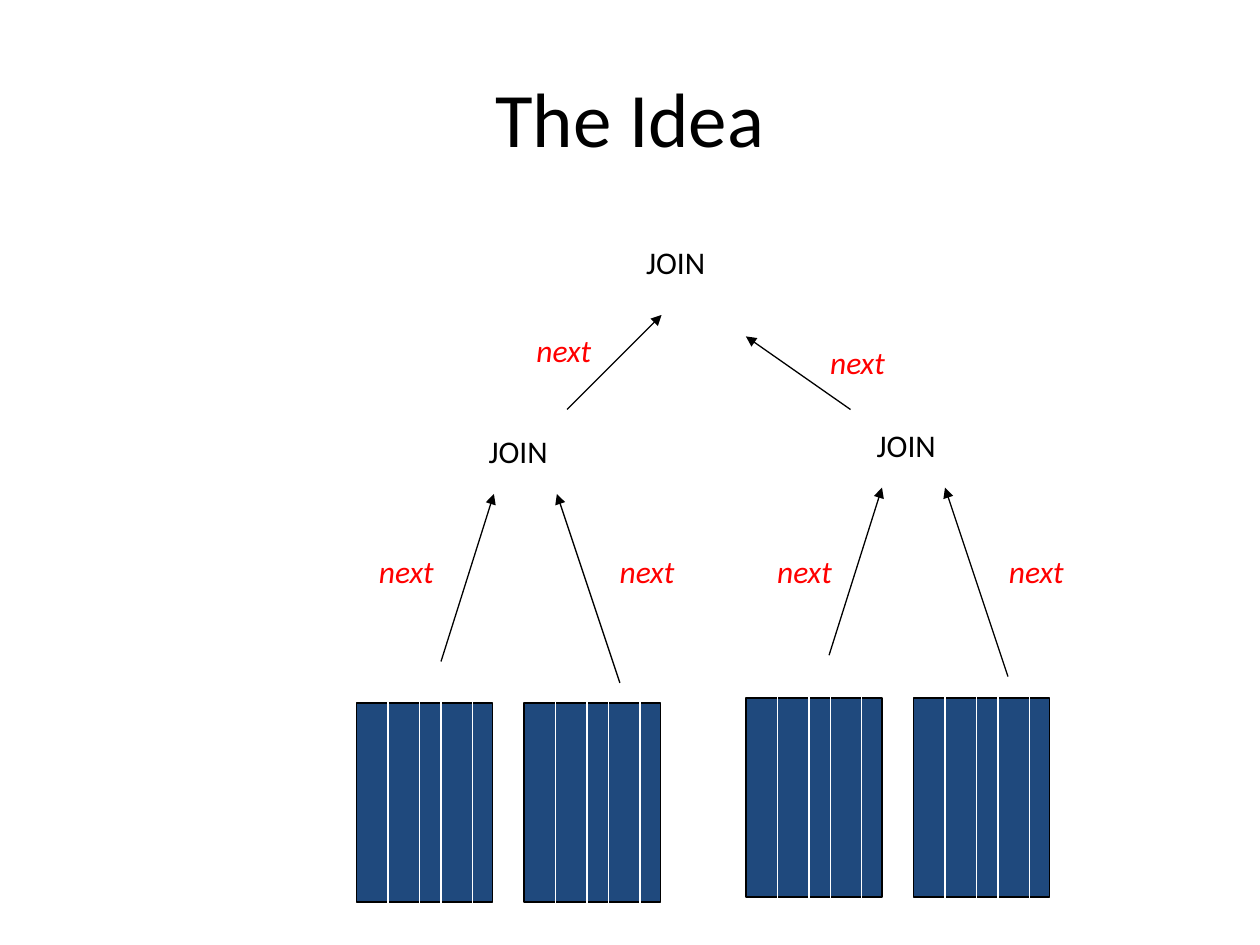
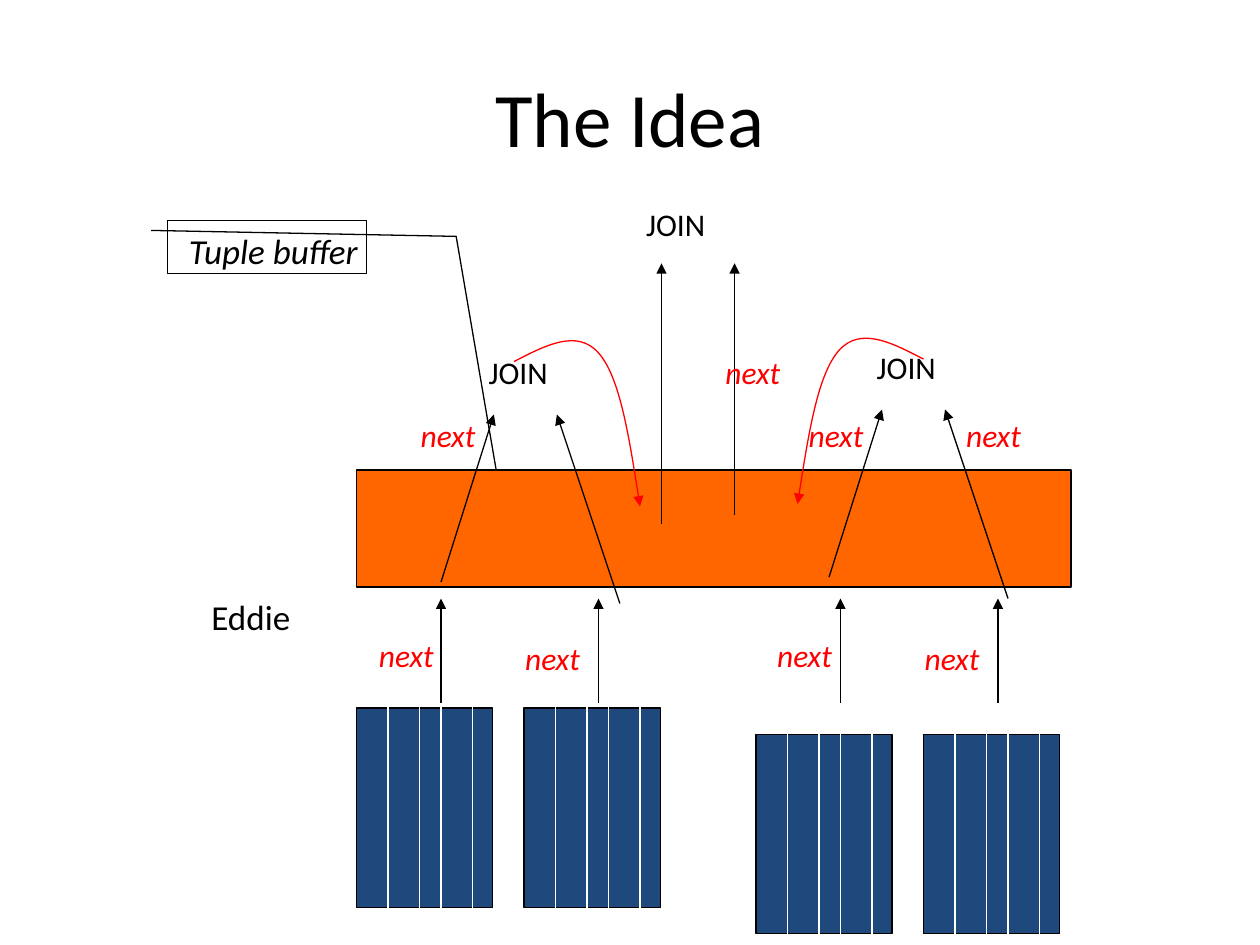
from dataclasses import dataclass

from pptx import Presentation
from pptx.dml.color import RGBColor
from pptx.enum.shapes import MSO_CONNECTOR, MSO_SHAPE
from pptx.enum.text import MSO_ANCHOR, MSO_AUTO_SIZE, PP_ALIGN
from pptx.oxml.ns import qn
from pptx.oxml.xmlchemy import OxmlElement
from pptx.util import Inches, Pt

RECTANGLE = MSO_SHAPE.RECTANGLE
CALLOUT = MSO_SHAPE.LINE_CALLOUT_2
STRAIGHT = MSO_CONNECTOR.STRAIGHT
MIDDLE = MSO_ANCHOR.MIDDLE
FIT_SHAPE = MSO_AUTO_SIZE.SHAPE_TO_FIT_TEXT
LEFT, CENTER = PP_ALIGN.LEFT, PP_ALIGN.CENTER

FONT = "Calibri"
BLACK, WHITE, RED = "000000", "FFFFFF", "FF0000"
TABLE_BLUE, EDDY_ORANGE = "1F497D", "FF6600"
LINE_WIDTH = Pt(0.75)

TABLE_STEP = 1.33
COLUMN_OFFSETS = (0.25, 0.67)
# Route of a tuple returning to the buffer: three points per curve
RETURN_ROUTE = ((0.25, -0.13), (0.5, -0.26), (0.67, -0.07),
                (0.84, 0.12), (0.92, 0.64), (1, 1.15))


@dataclass(frozen=True)
class Point:
    x: float
    y: float


@dataclass(frozen=True)
class Box:
    x: float
    y: float
    width: float
    height: float

    def lengths(self) -> tuple:
        return tuple(map(Inches, (self.x, self.y, self.width, self.height)))


NEXT_SIZE = (0.64, 0.4)
JOIN_SIZE = (0.67, 0.4)


def color(value: str) -> RGBColor:
    return RGBColor.from_string(value)


def format_text(text_frame, text: str, *, size: float = 18, fill: str = BLACK,
                italic: bool = False, align=LEFT) -> None:
    paragraph = text_frame.paragraphs[0]
    paragraph.alignment = align
    run = paragraph.add_run()
    run.text = text
    run.font.name = FONT
    run.font.size = Pt(size)
    run.font.italic = italic
    run.font.color.rgb = color(fill)


def add_text(slide, text: str, box: Box, **text_format) -> None:
    text_frame = slide.shapes.add_textbox(*box.lengths()).text_frame
    text_frame.word_wrap = False
    text_frame.auto_size = FIT_SHAPE
    format_text(text_frame, text, **text_format)


def add_next(slide, x: float, y: float) -> None:
    add_text(slide, "next", Box(x, y, *NEXT_SIZE), fill=RED, italic=True)


def add_join(slide, x: float, y: float) -> None:
    add_text(slide, "JOIN", Box(x, y, *JOIN_SIZE))


def set_line(shape, line_color: str) -> None:
    shape.line.color.rgb = color(line_color)
    shape.line.width = LINE_WIDTH


def add_arrowhead(shape) -> None:
    arrowhead = OxmlElement("a:tailEnd")
    arrowhead.set("type", "triangle")
    shape.element.spPr.find(qn("a:ln")).append(arrowhead)


def add_outlined(slide, kind, box: Box, *, fill: str = "", line: str = BLACK):
    shape = slide.shapes.add_shape(kind, *box.lengths())
    shape.shadow.inherit = False
    if fill:
        shape.fill.solid()
        shape.fill.fore_color.rgb = color(fill)
    else:
        shape.fill.background()
    set_line(shape, line)
    return shape


def add_arrow(slide, start: Point, end: Point) -> None:
    ends = map(Inches, (start.x, start.y, end.x, end.y))
    connector = slide.shapes.add_connector(STRAIGHT, *ends)
    set_line(connector, BLACK)
    add_arrowhead(connector)
    connector.element.spPr.append(OxmlElement("a:effectLst"))


def add_return_arrow(slide, start: Point, direction: int) -> None:
    """Draw the curved route from a join back to the buffer."""
    builder = slide.shapes.build_freeform(Inches(start.x), Inches(start.y))
    builder.add_line_segments(
        [(Inches(start.x + direction * dx), Inches(start.y + dy))
         for dx, dy in RETURN_ROUTE], close=False)
    shape = builder.convert_to_shape()
    shape.shadow.inherit = False
    shape.fill.background()
    set_line(shape, RED)
    add_arrowhead(shape)
    # Turn every three straight segments into one Bezier curve
    outline = next(shape.element.iter(qn("a:path")))
    segments = outline.findall(qn("a:lnTo"))
    for first in range(0, len(segments), 3):
        curve = OxmlElement("a:cubicBezTo")
        for segment in segments[first:first + 3]:
            curve.append(segment[0])
            outline.remove(segment)
        outline.append(curve)


def add_table_pair(slide, x: float, y: float) -> None:
    """Draw two source relations, each with its columns outlined."""
    for left in (x, x + TABLE_STEP):
        add_outlined(slide, RECTANGLE, Box(left, y, 1.08, 1.58), fill=TABLE_BLUE)
        for offset in COLUMN_OFFSETS:
            add_outlined(slide, RECTANGLE,
                         Box(left + offset, y - 0.08, 0.25, 1.75), line=WHITE)


def add_fed_join(slide, x: float, y: float) -> None:
    """Draw a join with the two arrows that feed it."""
    add_arrow(slide, Point(x - 0.28, y + 1.87), Point(x + 0.14, y + 0.54))
    add_arrow(slide, Point(x + 1.14, y + 2.04), Point(x + 0.64, y + 0.54))
    add_join(slide, x, y)


def add_titled_slide(presentation, title_text: str):
    slide = presentation.slides.add_slide(presentation.slide_layouts[5])
    title = slide.shapes.title
    title.left, title.top, title.width, title.height = Box(0.5, 0.3, 9, 1.25).lengths()
    title.text_frame.vertical_anchor = MIDDLE
    format_text(title.text_frame, title_text, size=44, align=CENTER)
    return slide


def build_iterator_slide(presentation) -> None:
    slide = add_titled_slide(presentation, "The Idea")

    # Source tables and lower joins
    add_table_pair(slide, 2.83, 5.58)
    add_fed_join(slide, 3.78, 3.38)
    add_table_pair(slide, 5.92, 5.54)
    add_fed_join(slide, 6.86, 3.33)

    # Top join
    add_arrow(slide, Point(4.5, 3.25), Point(5.25, 2.5))
    add_arrow(slide, Point(6.75, 3.25), Point(5.92, 2.67))
    add_join(slide, 5.03, 1.88)

    # Calls along the arrows
    add_next(slide, 4.16, 2.58)
    add_next(slide, 6.49, 2.67)
    for x in (2.91, 4.82, 6.07, 7.91):
        add_next(slide, x, 4.33)


def build_eddy_slide(presentation) -> None:
    slide = add_titled_slide(presentation, "The Idea")

    # Buffer callout
    callout = add_outlined(slide, CALLOUT, Box(1.33, 1.75, 1.58, 0.42))
    for index, value in enumerate((0.188, -0.083, 0.3, 1.45, 6.388, 1.727)):
        callout.adjustments[index] = value
    add_text(slide, "Tuple buffer", Box(1.4, 1.77, 1.56, 0.44), size=20, italic=True)

    # Eddy and top join
    add_outlined(slide, RECTANGLE, Box(2.83, 3.73, 5.67, 0.93), fill=EDDY_ORANGE)
    add_text(slide, "Eddie", Box(1.58, 4.68, 0.83, 0.44), size=20)
    add_arrow(slide, Point(5.25, 4.16), Point(5.25, 2.09))
    add_arrow(slide, Point(5.83, 4.09), Point(5.83, 2.09))
    add_join(slide, 5.03, 1.58)
    add_return_arrow(slide, Point(4.08, 2.87), 1)
    add_return_arrow(slide, Point(7.33, 2.85), -1)

    # Source tables and lower joins
    add_table_pair(slide, 2.83, 5.62)
    add_fed_join(slide, 3.78, 2.75)
    add_table_pair(slide, 6, 5.83)
    add_fed_join(slide, 6.86, 2.71)

    # Arrows from the tables into the eddy
    for x in (3.5, 4.75, 6.67, 7.92):
        add_arrow(slide, Point(x, 5.58), Point(x, 4.75))

    # Calls along the arrows
    for x in (2.91, 6.07):
        add_next(slide, x, 5)
    for x in (4.07, 7.24):
        add_next(slide, x, 5.02)
    for x in (3.24, 6.32, 7.57):
        add_next(slide, x, 3.25)
    add_next(slide, 5.66, 2.75)


def main() -> None:
    presentation = Presentation()
    presentation.slide_width = Inches(10)
    presentation.slide_height = Inches(7.5)
    build_iterator_slide(presentation)
    build_eddy_slide(presentation)
    presentation.save("out.pptx")


if __name__ == "__main__":
    main()
